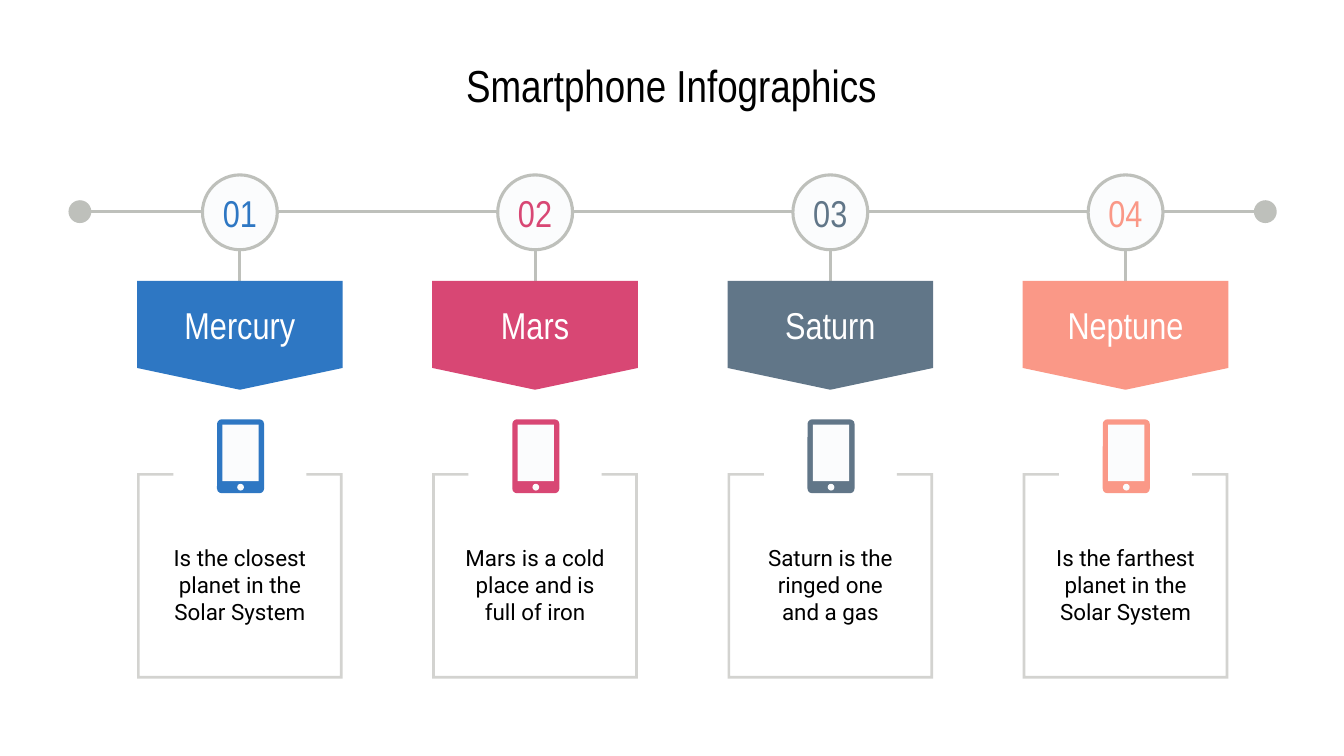
import pptx
import pptx.util
import pptx.dml.color
import pptx.enum.shapes
import pptx.enum.text

Inches = pptx.util.Inches
KIND = pptx.enum.shapes.MSO_SHAPE
COLORS = {
    "ink": "000000", "white": "FFFFFF", "pale": "FBFCFD",
    "gray": "BEC0BB", "frame": "D3D3D0",
    "blue": "2E77C3", "pink": "D84774", "slate": "617688", "coral": "FA9887",
}
PLANETS = [
    ("Mercury", "blue", "Is the closest planet in the Solar System"),
    ("Mars", "pink", "Mars is a cold place and is full of iron"),
    ("Saturn", "slate", "Saturn is the ringed one and a gas"),
    ("Neptune", "coral", "Is the farthest planet in the Solar System"),
]
HEAD = "Arial Narrow"
BODY = "Roboto"
WIDE = 1.53


def tint(name):
    return pptx.dml.color.RGBColor.from_string(COLORS[name])


def write(shape, text, size, font, color, side=0.1, pad=0.1):
    frame = shape.text_frame
    style = {
        "word_wrap": True,
        "vertical_anchor": pptx.enum.text.MSO_ANCHOR.MIDDLE,
        "margin_left": Inches(side), "margin_right": Inches(side),
        "margin_top": Inches(pad), "margin_bottom": Inches(pad),
    }
    for key, value in style.items():
        setattr(frame, key, value)
    para = frame.paragraphs[0]
    para.alignment = pptx.enum.text.PP_ALIGN.CENTER
    run = para.add_run()
    run.text = text
    for key, value in {"size": pptx.util.Pt(size), "name": font}.items():
        setattr(run.font, key, value)
    run.font.color.rgb = tint(color)


def paint(shape, color):
    shape.shadow.inherit = False
    shape.fill.solid()
    shape.fill.fore_color.rgb = tint(color)
    shape.line.fill.background()


def draw(slide, kind, box, color):
    shape = slide.shapes.add_shape(kind, *map(Inches, box))
    paint(shape, color)
    return shape


def label(slide, box, *style):
    write(slide.shapes.add_textbox(*map(Inches, box)), *style)


def link(slide, *ends):
    line = slide.shapes.add_connector(
        pptx.enum.shapes.MSO_CONNECTOR.STRAIGHT, *map(Inches, ends))
    line.line.color.rgb = tint("gray")
    line.line.width = pptx.util.Pt(1.5)
    props = line._element.spPr
    props.append(props.makeelement(pptx.oxml.ns.qn("a:effectLst"), {}))


def rail(slide, left, top, width, size):
    """Draw the long line with a dot at each end."""
    mid = top + size / 2
    link(slide, left + size / 2, mid, left + width - size / 2, mid)
    for x in (left, left + width - size):
        draw(slide, KIND.OVAL, (x, top, size, size), "gray")


def badge(slide, left, top, size, number, color):
    """Draw a numbered disc inside a thin ring."""
    gap = 0.01
    inner = size - 2 * gap
    disc = draw(slide, KIND.OVAL, (left + gap, top + gap, inner, inner), "pale")
    write(disc, f"{number:02}", 20, HEAD, color, 0, 0)
    ring = draw(slide, KIND.DONUT, (left, top, size, size), "gray")
    ring.adjustments[0] = 0.04


def phone(slide, left, top, color):
    wide, tall, dot = 0.35, 0.55, 0.05
    case = draw(slide, KIND.ROUNDED_RECTANGLE, (left, top, wide, tall), color)
    case.adjustments[0] = 0.1
    draw(slide, KIND.RECTANGLE, (left + 0.04, top + 0.04, 0.27, 0.42), "pale")
    draw(slide, KIND.OVAL, (left + (wide - dot) / 2, top + 0.48, dot, dot), "pale")


def frame(slide, left, top, size):
    """Draw a square outline that is open in the middle of its top."""
    arm, bar = 0.27, 0.02
    far = size - bar
    points = [
        (0, 0), (0, size), (size, size), (size, 0), (size - arm, 0),
        (size - arm, bar), (far, bar), (far, far), (bar, far),
        (bar, bar), (arm, bar), (arm, 0),
    ]
    spots = [(Inches(left + x), Inches(top + y)) for x, y in points]
    path = slide.shapes.build_freeform(*spots[0])
    path.add_line_segments(spots[1:], close=True)
    paint(path.convert_to_shape(), "frame")


def column(slide, left, top, number, name, color, note):
    mid = left + WIDE / 2
    ring = 0.58
    link(slide, mid, top + 1.09, mid, top + ring)
    badge(slide, mid - ring / 2, top, ring, number, color)
    flag = draw(slide, KIND.FLOWCHART_OFFPAGE_CONNECTOR,
                (left, top + 0.8, WIDE, 0.81), color)
    write(flag, name, 20, HEAD, "white")
    phone(slide, mid - 0.17, top + 1.83, color)
    frame(slide, left, top + 2.23, WIDE)
    label(slide, (left + 0.12, top + 2.69, 1.29, 0.74),
          note, 12, BODY, "ink", 0.1, 0)


def main():
    deck = pptx.Presentation()
    deck.slide_width = Inches(10)
    deck.slide_height = deck.slide_width * 9 // 16
    slide = deck.slides.add_slide(deck.slide_layouts[6])
    label(slide, (2.32, 0.42, 5.35, 0.42),
          "Smartphone Infographics", 24, HEAD, "ink")
    rail(slide, 0.51, 1.49, 8.99, 0.17)
    first, last = 1.02, 7.61
    step = (last - first) / (len(PLANETS) - 1)
    for i, planet in enumerate(PLANETS):
        column(slide, first + i * step, 1.29, i + 1, *planet)
    deck.save("out.pptx")


if __name__ == "__main__":
    main()
